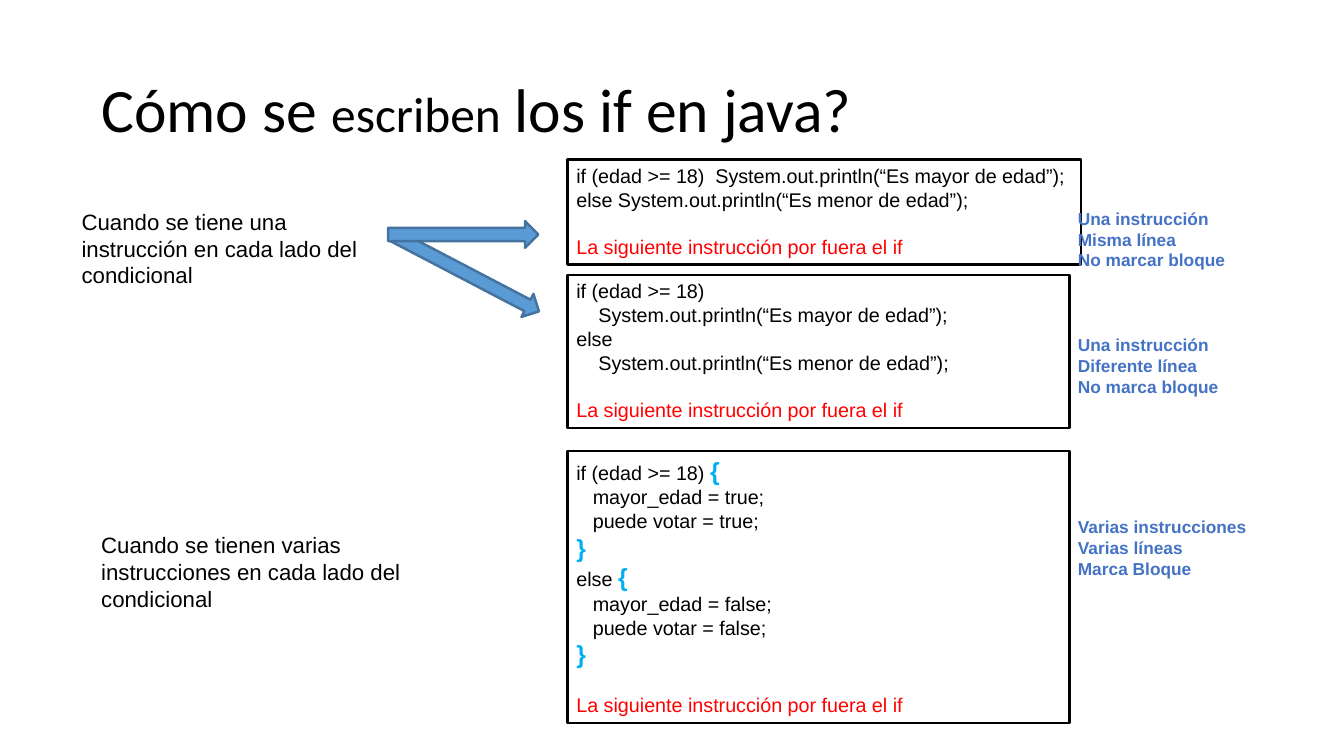
from dataclasses import dataclass

from pptx import Presentation
from pptx.dml.color import RGBColor
from pptx.enum.shapes import MSO_SHAPE
from pptx.enum.text import MSO_ANCHOR, MSO_AUTO_SIZE, PP_ALIGN
from pptx.shapes.autoshape import Shape
from pptx.slide import Slide
from pptx.text.text import _Paragraph as Paragraph
from pptx.util import Cm, Pt

BLACK = RGBColor(0x00, 0x00, 0x00)
WHITE = RGBColor(0xFF, 0xFF, 0xFF)
RED = RGBColor(0xFF, 0x00, 0x00)
BRACE_BLUE = RGBColor(0x00, 0xB0, 0xF0)
LABEL_BLUE = RGBColor(0x44, 0x72, 0xC4)
ARROW_FILL = RGBColor(0x5B, 0x9B, 0xD5)
ARROW_LINE = RGBColor(0x43, 0x73, 0x9E)

CODE_LEFT = 16.21
LABEL_LEFT = 30.53
AFTER_IF = "La siguiente instrucción por fuera el if"
BLANK_LINE = Pt(19.2)


@dataclass(frozen=True)
class Frame:
    left: float
    top: float
    width: float
    height: float

    def lengths(self) -> tuple[Cm, Cm, Cm, Cm]:
        return Cm(self.left), Cm(self.top), Cm(self.width), Cm(self.height)


@dataclass(frozen=True)
class CodeLine:
    text: str = ""
    indent: float = 0
    brace: str = ""


@dataclass(frozen=True)
class CodeBox:
    frame: Frame
    lines: tuple[CodeLine, ...]
    wrap: bool = True


@dataclass(frozen=True)
class Note:
    frame: Frame
    lines: tuple[str, ...]
    size: int = 18
    color: RGBColor = BLACK
    bold: bool = False


@dataclass(frozen=True)
class Arrow:
    frame: Frame
    rotation: float


def label(top: float, *lines: str) -> Note:
    return Note(Frame(LABEL_LEFT, top, 5.77, 2.06), lines, 14, LABEL_BLUE, True)


SIDE_NOTES = (
    Note(Frame(2.08, 5.82, 9.35, 2.57),
         ("Cuando se tiene una instrucción en cada lado del condicional",)),
    Note(Frame(2.64, 15.06, 9.35, 2.57),
         ("Cuando se tienen varias instrucciones en cada lado del condicional",)),
)
TWO_LINE_BOX = CodeBox(Frame(CODE_LEFT, 7.85, 14.33, 4.37), (
    CodeLine("if (edad >= 18)"),
    CodeLine("System.out.println(“Es mayor de edad”);", 0.63),
    CodeLine("else"),
    CodeLine("System.out.println(“Es menor de edad”);", 0.63),
))
ONE_LINE_BOX = CodeBox(Frame(CODE_LEFT, 4.55, 14.66, 3), (
    CodeLine("if (edad >= 18)  System.out.println(“Es mayor de edad”);"),
    CodeLine("else System.out.println(“Es menor de edad”);"),
), wrap=False)
BLOCK_BOX = CodeBox(Frame(CODE_LEFT, 12.88, 14.33, 7.77), (
    CodeLine("if (edad >= 18) ", brace="{"),
    CodeLine("mayor_edad = true;", 0.47),
    CodeLine("puede votar = true;", 0.47),
    CodeLine(brace="}"),
    CodeLine("else ", brace="{"),
    CodeLine("mayor_edad = false;", 0.47),
    CodeLine("puede votar = false;", 0.47),
    CodeLine(brace="}"),
))
ARROWS = (
    Arrow(Frame(12.93, 5.44, 0.74, 4.72), 297.6),
    Arrow(Frame(12.85, 4.55, 0.76, 4.29), 270),
)
LABELS = (
    label(5.82, "Una instrucción", "Misma línea", "No marcar bloque"),
    label(9.42, "Una instrucción", "Diferente línea", "No marca bloque"),
    label(14.63, "Varias instrucciones Varias líneas", "Marca Bloque"),
)


def format_paragraph(paragraph: Paragraph, size: float, color: RGBColor,
                     bold: bool = False, name: str = "Arial") -> None:
    paragraph.alignment = PP_ALIGN.LEFT
    font = paragraph.font
    font.name, font.size, font.bold = name, Pt(size), bold
    font.color.rgb = color


def next_paragraph(shape: Shape, index: int) -> Paragraph:
    frame = shape.text_frame
    return frame.add_paragraph() if index else frame.paragraphs[0]


def add_filled_shape(slide: Slide, kind: MSO_SHAPE, frame: Frame,
                     fill: RGBColor, line: RGBColor) -> Shape:
    shape = slide.shapes.add_shape(kind, *frame.lengths())
    shape.shadow.inherit = False
    shape.fill.solid()
    shape.fill.fore_color.rgb = fill
    shape.line.color.rgb = line
    shape.line.width = Pt(2)
    return shape


def add_title(slide: Slide) -> None:
    title = slide.shapes.title
    title.left, title.top, title.width, title.height = Frame(2.64, 1.14, 33.1, 4.17).lengths()
    title.text_frame.vertical_anchor = MSO_ANCHOR.MIDDLE
    title.text_frame.auto_size = MSO_AUTO_SIZE.NONE
    paragraph = title.text_frame.paragraphs[0]
    format_paragraph(paragraph, 49.9, BLACK, name="Calibri")
    paragraph.line_spacing = 0.9
    for text, size in (("Cómo se ", 49.9), ("escriben", 40), (" los if en java?", 49.9)):
        run = paragraph.add_run()
        run.text = text
        run.font.size = Pt(size)


def add_note(slide: Slide, note: Note) -> None:
    box = slide.shapes.add_textbox(*note.frame.lengths())
    box.text_frame.word_wrap = True
    for index, line in enumerate(note.lines):
        paragraph = next_paragraph(box, index)
        paragraph.text = line
        format_paragraph(paragraph, note.size, note.color, note.bold)


def add_code_box(slide: Slide, code: CodeBox) -> None:
    """Draw the code lines, then the red line that follows the if."""
    box = add_filled_shape(slide, MSO_SHAPE.RECTANGLE, code.frame, WHITE, BLACK)
    box.text_frame.word_wrap = code.wrap
    box.text_frame.vertical_anchor = MSO_ANCHOR.TOP
    for index, line in enumerate(code.lines):
        paragraph = next_paragraph(box, index)
        format_paragraph(paragraph, 16, BLACK)
        if line.indent:
            properties = paragraph._p.get_or_add_pPr()
            properties.set("marL", str(Cm(line.indent)))
            properties.set("indent", "0")
        if line.text:
            paragraph.add_run().text = line.text
        if line.brace:
            run = paragraph.add_run()
            run.text = line.brace
            run.font.size, run.font.bold = Pt(20), True
            run.font.color.rgb = BRACE_BLUE
    closing = box.text_frame.add_paragraph()
    closing.text = AFTER_IF
    closing.space_before = BLANK_LINE
    format_paragraph(closing, 16, RED)


def add_arrow(slide: Slide, arrow: Arrow) -> None:
    shape = add_filled_shape(slide, MSO_SHAPE.DOWN_ARROW, arrow.frame, ARROW_FILL, ARROW_LINE)
    shape.rotation = arrow.rotation


def main() -> None:
    presentation = Presentation()
    presentation.slide_width, presentation.slide_height = Cm(38.38), Cm(21.59)
    slide = presentation.slides.add_slide(presentation.slide_layouts[5])
    add_title(slide)
    for note in SIDE_NOTES:
        add_note(slide, note)
    add_code_box(slide, TWO_LINE_BOX)
    add_code_box(slide, ONE_LINE_BOX)
    for arrow in ARROWS:
        add_arrow(slide, arrow)
    add_code_box(slide, BLOCK_BOX)
    for note in LABELS:
        add_note(slide, note)
    presentation.save("out.pptx")


if __name__ == "__main__":
    main()
